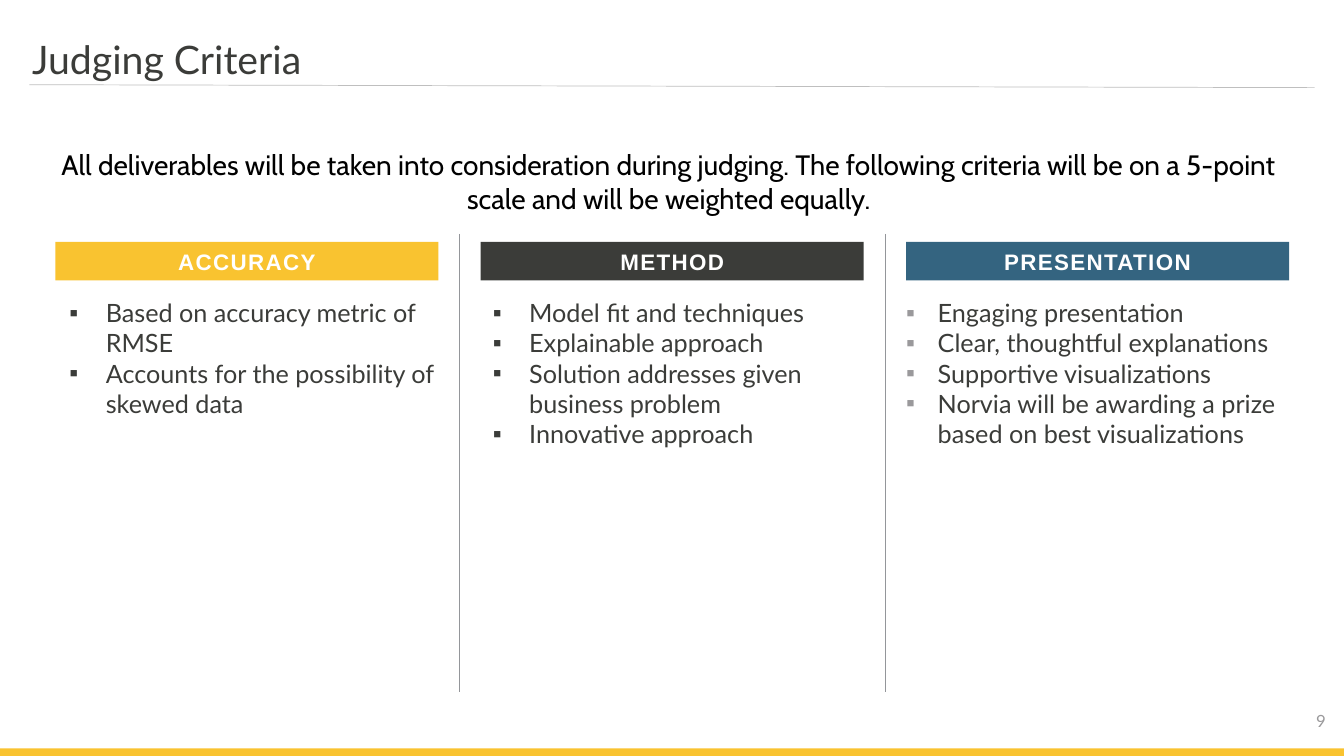
"""Build the judging criteria slide."""
from lxml import etree
from pptx import Presentation, util as u
from pptx.dml import color
from pptx.enum import shapes, text
from pptx.oxml import ns

YELLOW, DARK, BLUE, GREY = "F9C330", "3B3C39", "346480", "9A999B"
CENTER, RIGHT, LEFT = text.PP_ALIGN.CENTER, text.PP_ALIGN.RIGHT, text.PP_ALIGN.LEFT
TOP, MIDDLE, BOTTOM = text.MSO_ANCHOR.TOP, text.MSO_ANCHOR.MIDDLE, text.MSO_ANCHOR.BOTTOM

COLUMNS = [
    ("ACCURACY", YELLOW, 39.6, (36, -26), DARK,
     ["Based on accuracy metric of RMSE",
      "Accounts for the possibility of skewed data"]),
    ("METHOD", DARK, 342, (36, -26), DARK,
     ["Model fit and techniques", "Explainable approach",
      "Solution addresses given business problem", "Innovative approach"]),
    ("PRESENTATION", BLUE, 647.3, (22.5, -22.5), GREY,
     ["Engaging presentation", "Clear, thoughtful explanations",
      "Supportive visualizations",
      "Norvia will be awarding a prize based on best visualizations"]),
]


def rgb(value):
    """Turn a hex string into a colour."""
    return color.RGBColor.from_string(value)


def assign(obj, values):
    """Set every attribute named in a dict."""
    for name, value in values.items():
        setattr(obj, name, value)


class Deck:
    """Hold the style and the current slide."""

    font = "Lato"

    def __init__(self):
        """Open a widescreen deck with one comparison slide."""
        self.prs = Presentation()
        assign(self.prs, {"slide_width": u.Pt(960), "slide_height": u.Pt(540)})
        self.s = self.prs.slides.add_slide(self.prs.slide_layouts[4])

    def place(self, sp, box):
        """Move a shape to a box given in points."""
        names = ("left", "top", "width", "height")
        assign(sp, dict(zip(names, map(u.Pt, box))))

    def fill_text(self, sp, lines, size, ink, font=None, bold=False, align=LEFT,
                  anchor=TOP, pad=(0, 0, 0, 0)):
        """Fill a text frame with formatted paragraphs."""
        tf = sp.text_frame
        tf.text = "\n".join(lines)
        sides = ("margin_left", "margin_top", "margin_right", "margin_bottom")
        assign(tf, {"word_wrap": True, "auto_size": text.MSO_AUTO_SIZE.NONE,
                    "vertical_anchor": anchor, **dict(zip(sides, map(u.Pt, pad)))})
        for p in tf.paragraphs:
            assign(p, {"alignment": align, "space_before": u.Pt(0)})
            for r in p.runs:
                assign(r.font, {"name": font or self.font, "size": u.Pt(size), "bold": bold})
                r.font.color.rgb = rgb(ink)

    def title(self, box, words):
        """Place the slide title."""
        sp = self.s.shapes.title
        self.place(sp, box)
        self.fill_text(sp, [words], 28, DARK, anchor=MIDDLE)

    def label(self, box, words, size, ink, **style):
        """Add a text box."""
        sp = self.s.shapes.add_textbox(*map(u.Pt, box))
        self.fill_text(sp, [words], size, ink, **style)

    def bar(self, box, fill):
        """Add a filled rectangle without an outline."""
        sp = self.s.shapes.add_shape(shapes.MSO_SHAPE.RECTANGLE, *map(u.Pt, box))
        sp.shadow.inherit = False
        sp.fill.solid()
        sp.fill.fore_color.rgb = rgb(fill)
        sp.line.fill.background()
        return sp

    def header(self, box, words, fill):
        """Add a column header with spaced capitals."""
        sp = self.bar(box, fill)
        self.fill_text(sp, [words], 16, "FFFFFF", font="Arial", bold=True,
                       align=CENTER, anchor=BOTTOM, pad=(0, 3.6, 0, 3.6))
        for r in sp.text_frame.paragraphs[0].runs:
            r._r.get_or_add_rPr().set("spc", "100")

    def rule(self, ends, ink):
        """Add a thin straight line."""
        sp = self.s.shapes.add_connector(shapes.MSO_CONNECTOR.STRAIGHT, *map(u.Pt, ends))
        sp.line.width = u.Pt(0.5)
        sp.line.color.rgb = rgb(ink)
        etree.SubElement(sp._element.spPr, ns.qn("a:effectLst"))

    def bullets(self, idx, box, lines, indent, ink):
        """Fill a body placeholder with a square-bulleted list."""
        sp = self.s.placeholders[idx]
        self.place(sp, box)
        self.fill_text(sp, lines, 18, DARK)
        margin, hanging = map(u.Pt, indent)
        for p in sp.text_frame.paragraphs:
            pr = p._p.get_or_add_pPr()
            pr.set("marL", str(margin))
            pr.set("indent", str(hanging))
            tint = etree.SubElement(pr, ns.qn("a:buClr"))
            etree.SubElement(tint, ns.qn("a:srgbClr"), val=ink)
            etree.SubElement(pr, ns.qn("a:buFont"), typeface="Arial")
            etree.SubElement(pr, ns.qn("a:buChar"), char="▪")


def main():
    """Draw the slide and save it."""
    d = Deck()
    d.bar((0, 534.6, 960, 5.4), YELLOW)
    d.rule((21, 60.5, 939, 62.6), "BFBFBF")
    d.title((23, 23.8, 898, 36.7), "Judging Criteria")
    d.label((23, 101.5, 916.6, 55.4),
            "All deliverables will be taken into consideration during judging. "
            "The following criteria will be on a 5-point scale and will be weighted equally.",
            20, "000000", font="Cabin", align=CENTER, anchor=BOTTOM, pad=(0, 3.6, 7.2, 3.6))

    left, pitch, width, gap = 39.6, 303.8, 273.6, 15.1
    for i, (name, fill, list_left, indent, ink, lines) in enumerate(COLUMNS):
        x = left + i * pitch
        d.header((x, 172.8, width, 27.4), name, fill)
        d.bullets(i + 1, (list_left, 212.4, width, 320), lines, indent, ink)
        if i:
            d.rule((x - gap, 167, x - gap, 494.6), "94969A")

    d.label((692.6, 507.6, 254.4, 14.4), "9", 12, GREY, align=RIGHT)
    unused = d.s.placeholders[4]._element
    unused.getparent().remove(unused)
    d.prs.save("out.pptx")


if __name__ == "__main__":
    main()
